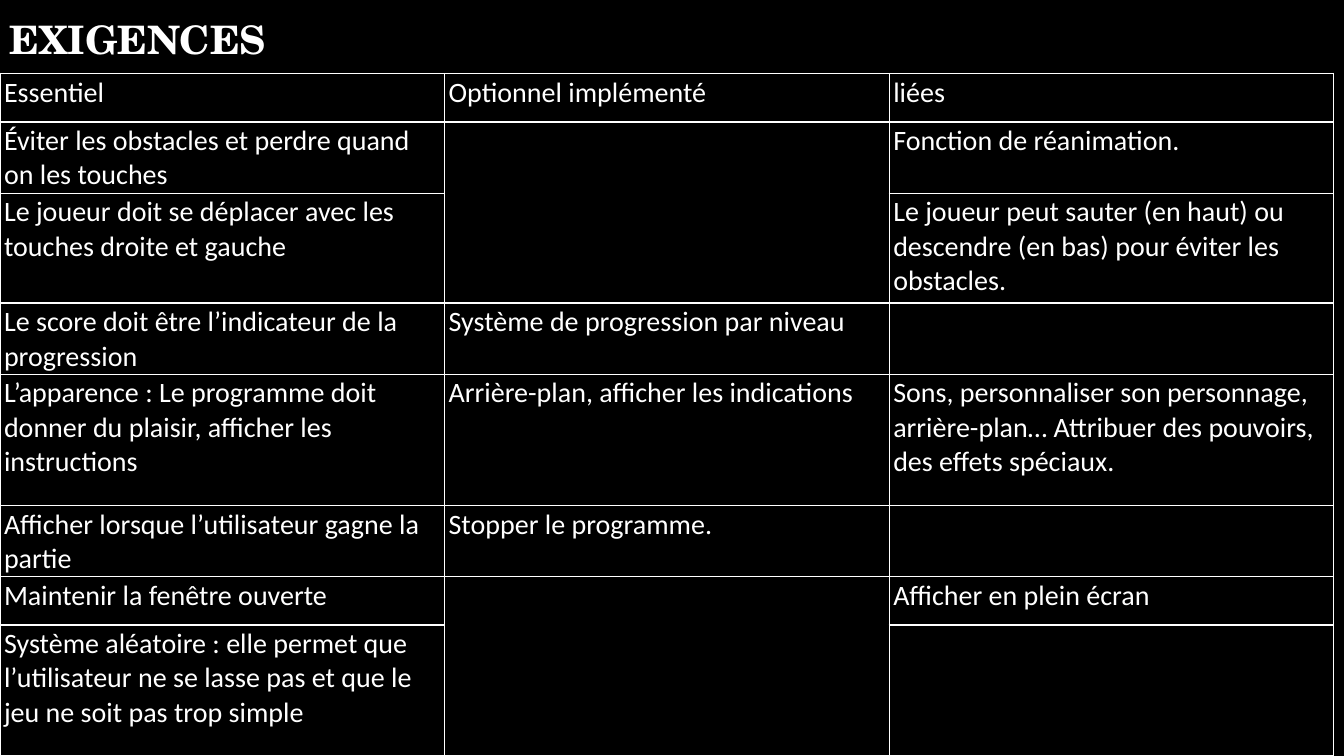
import dataclasses

import lxml.etree
import pptx
import pptx.dml.color
import pptx.enum.text
import pptx.oxml.ns
import pptx.util

COLORS = {"background": "000000", "text": "FFFFFF", "border": "FFFFFF"}
Inches = pptx.util.Inches
COLUMN_WIDTH = 4.41


@dataclasses.dataclass(frozen=True)
class Requirement:
    height: float
    essential: str
    optional: str = ""
    related: str = ""


REQUIREMENTS = [
    Requirement(0.48, "Essentiel", "Optionnel implémenté", "liées"),
    Requirement(0.7, "Éviter les obstacles et perdre quand on les touches",
                related="Fonction de réanimation."),
    Requirement(1.09, "Le joueur doit se déplacer avec les touches droite et gauche",
                related="Le joueur peut sauter (en haut) ou descendre (en bas) "
                        "pour éviter les obstacles."),
    Requirement(0.7, "Le score doit être l’indicateur de la progression",
                "Système de progression par niveau"),
    Requirement(1.3, "L’apparence : Le programme doit donner du plaisir, "
                     "afficher les instructions",
                "Arrière-plan, afficher les indications",
                "Sons, personnaliser son personnage, arrière-plan… "
                "Attribuer des pouvoirs, des effets spéciaux."),
    Requirement(0.7, "Afficher lorsque l’utilisateur gagne la partie",
                "Stopper le programme."),
    Requirement(0.48, "Maintenir la fenêtre ouverte",
                related="Afficher en plein écran"),
    Requirement(1.3, "Système aléatoire : elle permet que l’utilisateur ne se lasse pas "
                     "et que le jeu ne soit pas trop simple"),
]
# First rows of the two-row merged cells in the middle column
MERGED_ROWS = (1, 6)


def rgb(name: str) -> pptx.dml.color.RGBColor:
    return pptx.dml.color.RGBColor.from_string(COLORS[name])


def add_run(paragraph, text: str, font: str, size: float, bold: bool = False) -> None:
    run = paragraph.add_run()
    run.text = text
    run.font.name = font
    run.font.size = pptx.util.Pt(size)
    run.font.bold = bold
    run.font.color.rgb = rgb("text")


def add_borders(cell) -> None:
    """Draw a one-point line on all four sides; lines must precede the fill."""
    properties = cell._tc.get_or_add_tcPr()
    qn = pptx.oxml.ns.qn
    for position, side in enumerate(("lnL", "lnR", "lnT", "lnB")):
        line = lxml.etree.Element(qn(f"a:{side}"), w=str(pptx.util.Pt(1)))
        fill = lxml.etree.SubElement(line, qn("a:solidFill"))
        lxml.etree.SubElement(fill, qn("a:srgbClr"), val=COLORS["border"])
        properties.insert(position, line)


def fill_cell(cell, text: str) -> None:
    cell.margin_left = cell.margin_right = Inches(0.04)
    cell.margin_top = cell.margin_bottom = Inches(0.02)
    cell.fill.background()
    add_borders(cell)
    if text:
        add_run(cell.text_frame.paragraphs[0], text, "Calibri", 20)


def add_title(slide) -> None:
    title = slide.shapes.add_textbox(Inches(0), Inches(0.1), Inches(3.96), Inches(0.57))
    frame = title.text_frame
    frame.word_wrap = True
    frame.auto_size = pptx.enum.text.MSO_AUTO_SIZE.SHAPE_TO_FIT_TEXT
    add_run(frame.paragraphs[0], "EXIGENCES", "TeX Gyre Schola", 28, bold=True)


def add_requirements_table(slide) -> None:
    total_height = sum(requirement.height for requirement in REQUIREMENTS)
    table = slide.shapes.add_table(
        len(REQUIREMENTS), 3, Inches(0), Inches(0.73),
        Inches(3 * COLUMN_WIDTH), Inches(total_height)).table
    table.first_row = table.horz_banding = False
    for column in table.columns:
        column.width = Inches(COLUMN_WIDTH)
    for row, requirement in zip(table.rows, REQUIREMENTS):
        row.height = Inches(requirement.height)
        texts = (requirement.essential, requirement.optional, requirement.related)
        for cell, text in zip(row.cells, texts):
            fill_cell(cell, text)
    for first in MERGED_ROWS:
        table.cell(first, 1).merge(table.cell(first + 1, 1))


def main() -> None:
    presentation = pptx.Presentation()
    presentation.slide_width = Inches(13.33)
    presentation.slide_height = Inches(7.5)
    slide = presentation.slides.add_slide(presentation.slide_layouts[6])
    slide.background.fill.solid()
    slide.background.fill.fore_color.rgb = rgb("background")
    add_title(slide)
    add_requirements_table(slide)
    presentation.save("out.pptx")


if __name__ == "__main__":
    main()
